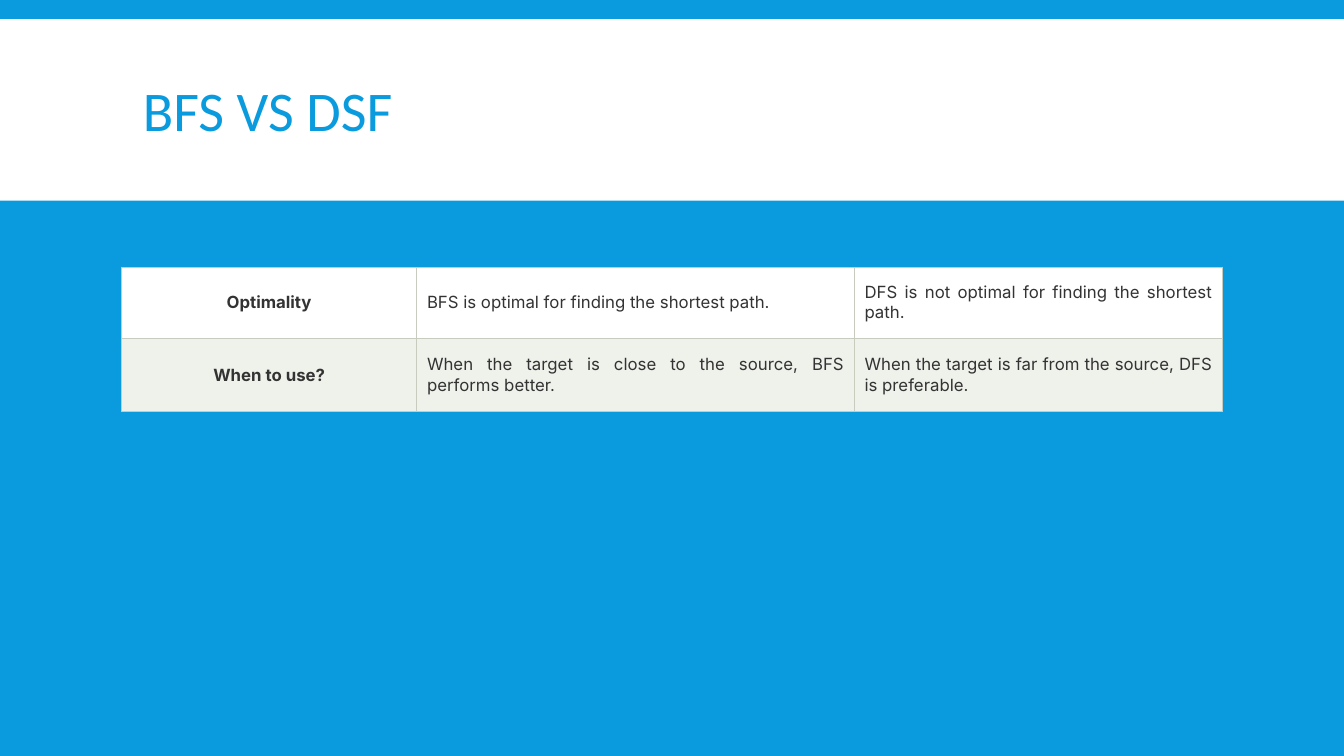
from lxml.etree import SubElement
from pptx import Presentation
from pptx.dml.color import RGBColor
from pptx.enum.shapes import MSO_SHAPE as Shape
from pptx.enum.text import MSO_ANCHOR as Anchor, PP_ALIGN as Align
from pptx.oxml.ns import qn
from pptx.util import Inches, Pt

COLORS = {
    "blue": "099BDD",
    "white": "FFFFFF",
    "sage": "EFF1EB",
    "border": "C7CCBE",
    "ink": "333333",
}
WIDTH, HEIGHT = 13.33, 7.5
COLUMNS = [2.93, 4.34, 3.65]
ROWS = [0.69, 0.73]
COMPARISON = [
    ("Optimality",
     "BFS is optimal for finding the shortest path.",
     "DFS is not optimal for finding the shortest path."),
    ("When to use?",
     "When the target is close to the source, BFS performs better.",
     "When the target is far from the source, DFS is preferable."),
]


def paint(fill, color):
    fill.solid()
    fill.fore_color.rgb = RGBColor.from_string(COLORS[color])


def write(frame, text, *, font="Inter", size=12, color="ink", bold=False,
          align=Align.LEFT, spacing=1.0):
    frame.word_wrap = True
    paragraph = frame.paragraphs[0]
    paragraph.alignment = align
    paragraph.line_spacing = spacing
    run = paragraph.add_run()
    run.text = text
    run.font.name = font
    run.font.size = Pt(size)
    run.font.bold = bold
    run.font.color.rgb = RGBColor.from_string(COLORS[color])


def add_band(slide, top, height):
    band = slide.shapes.add_shape(
        Shape.RECTANGLE, 0, Inches(top), Inches(WIDTH), Inches(height))
    band.shadow.inherit = False
    paint(band.fill, "white")
    band.line.fill.background()


def add_title(slide, text, left, top, width, height):
    title = slide.shapes.add_textbox(*map(Inches, (left, top, width, height)))
    title.text_frame.vertical_anchor = Anchor.MIDDLE
    write(title.text_frame, text, font="Calibri", size=40, color="blue",
          spacing=0.85)


def outline(cell, color, points):
    properties = cell._tc.get_or_add_tcPr()
    for index, side in enumerate(("lnL", "lnR", "lnT", "lnB")):
        edge = properties.makeelement(qn(f"a:{side}"), {"w": str(Pt(points))})
        fill = SubElement(edge, qn("a:solidFill"))
        SubElement(fill, qn("a:srgbClr"), val=COLORS[color])
        properties.insert(index, edge)


def fill_cell(cell, text, color, is_label):
    cell.vertical_anchor = Anchor.MIDDLE
    cell.margin_left = cell.margin_right = Inches(0.1)
    cell.margin_top = cell.margin_bottom = Inches(0.1 if is_label else 0.15)
    paint(cell.fill, color)
    outline(cell, "border", 0.75)
    write(cell.text_frame, text, bold=is_label,
          align=Align.CENTER if is_label else Align.JUSTIFY)


def add_comparison(slide, left, top):
    table = slide.shapes.add_table(
        len(ROWS), len(COLUMNS), Inches(left), Inches(top),
        Inches(sum(COLUMNS)), Inches(sum(ROWS))).table
    table.first_row = table.horz_banding = False
    for column, width in zip(table.columns, COLUMNS):
        column.width = Inches(width)
    for r, (height, texts) in enumerate(zip(ROWS, COMPARISON)):
        table.rows[r].height = Inches(height)
        for c, text in enumerate(texts):
            fill_cell(table.cell(r, c), text, ("white", "sage")[r % 2], c == 0)


def main():
    deck = Presentation()
    deck.slide_width, deck.slide_height = Inches(WIDTH), Inches(HEIGHT)
    slide = deck.slides.add_slide(deck.slide_layouts[6])
    paint(slide.background.fill, "blue")
    add_band(slide, 0.19, 1.8)
    add_comparison(slide, (WIDTH - sum(COLUMNS)) / 2, 2.65)
    add_title(slide, "BFS VS DSF", 1.32, 0.31, 10.7, 1.65)
    deck.save("out.pptx")


if __name__ == "__main__":
    main()
